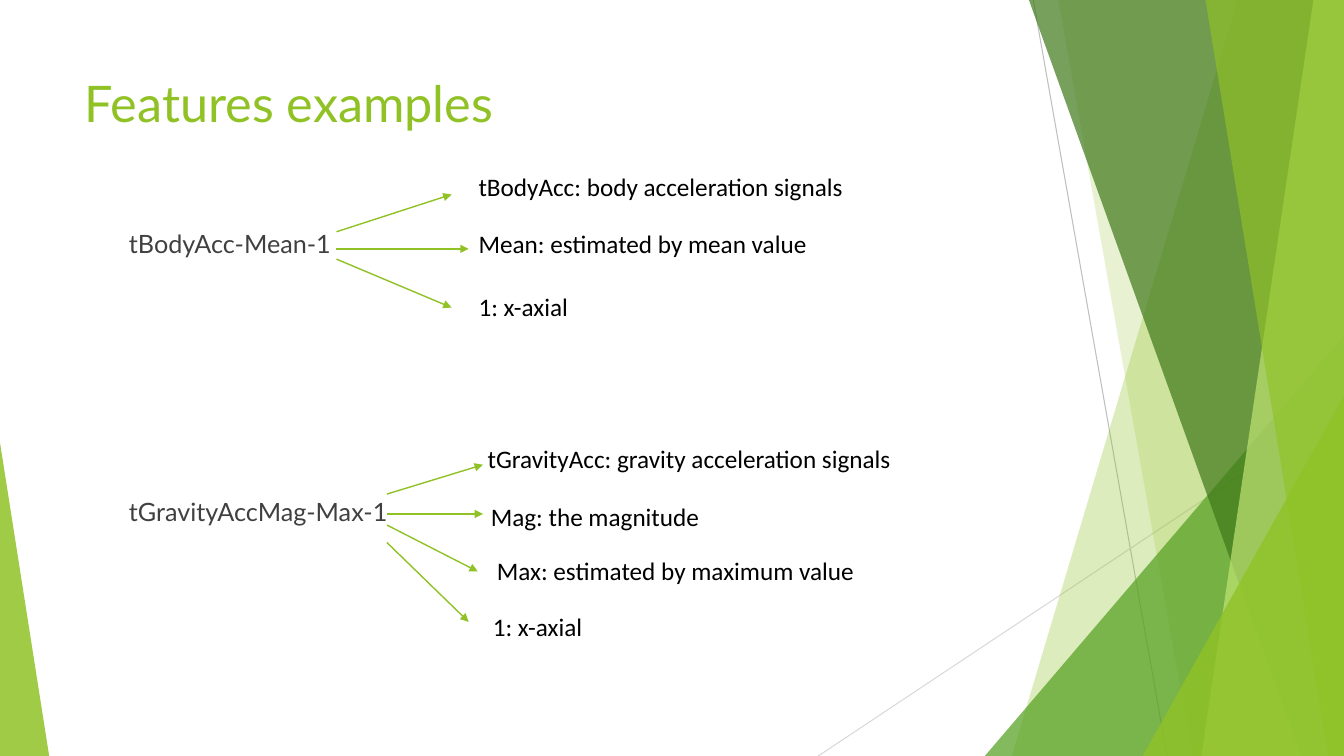
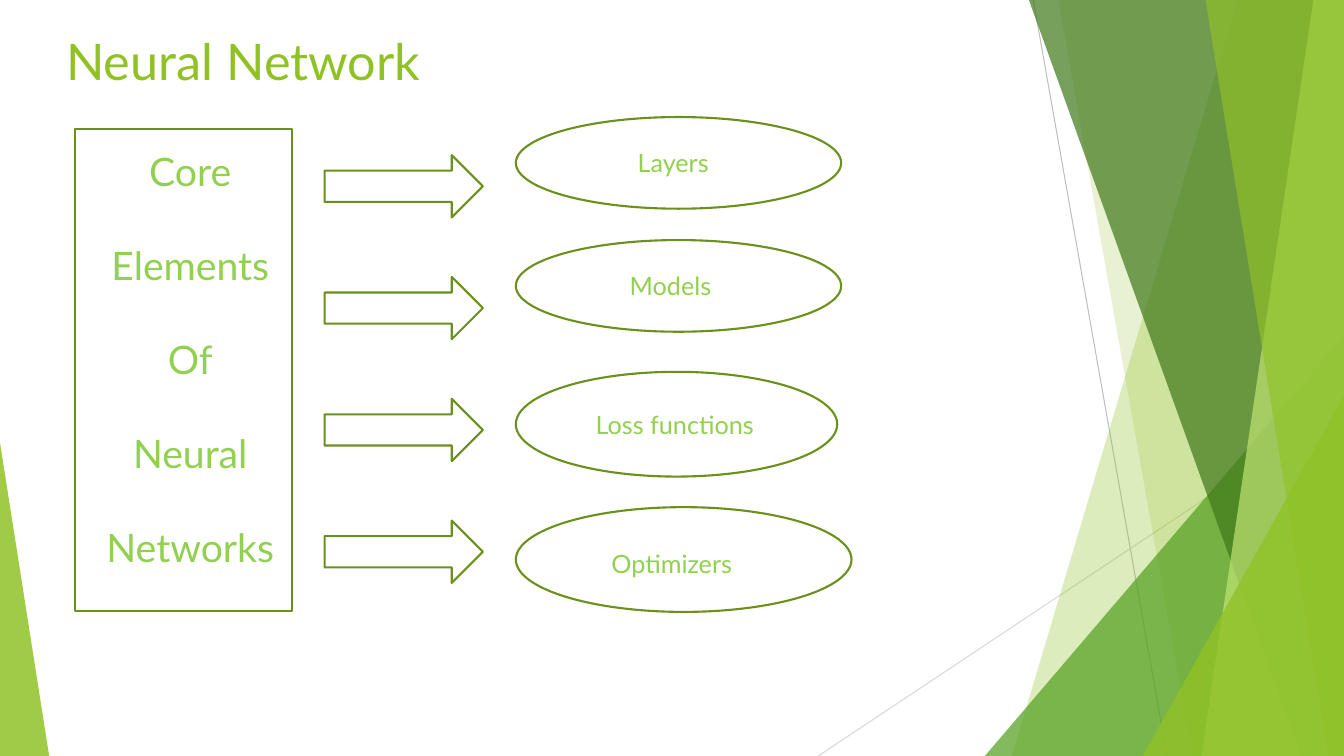
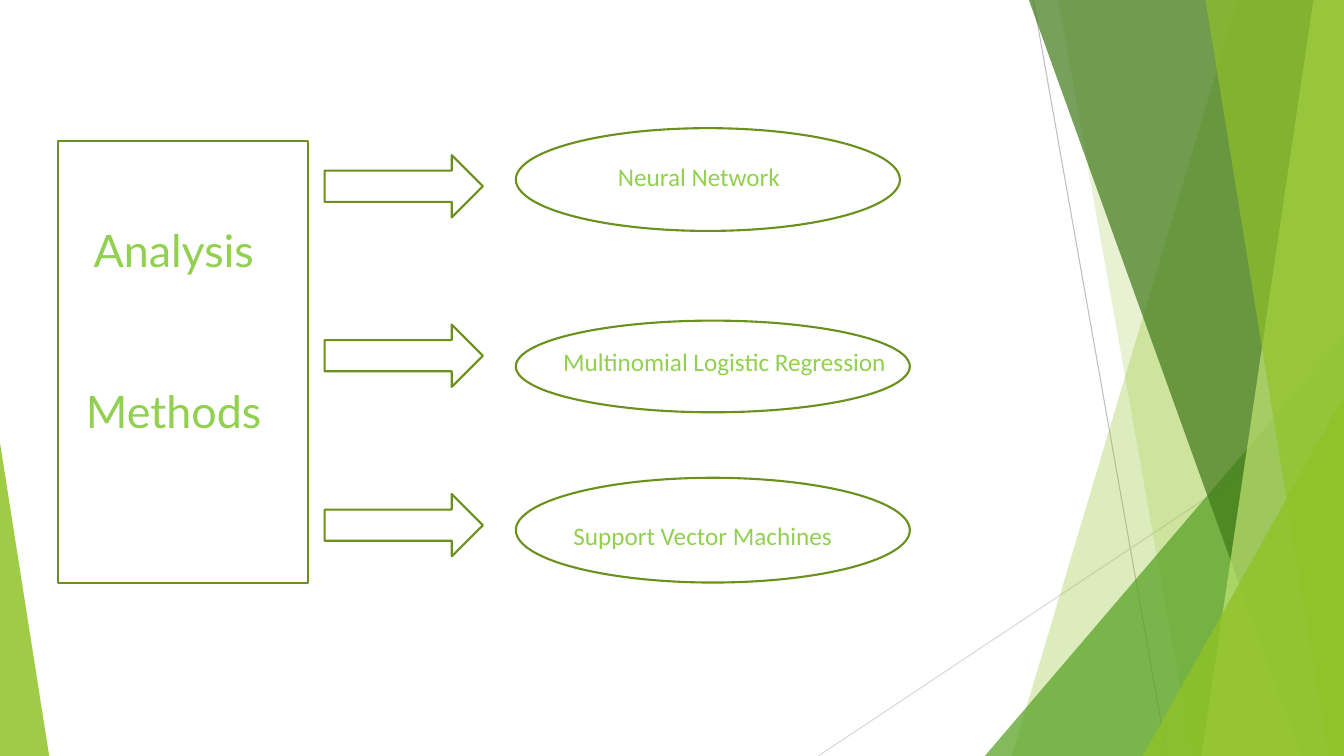
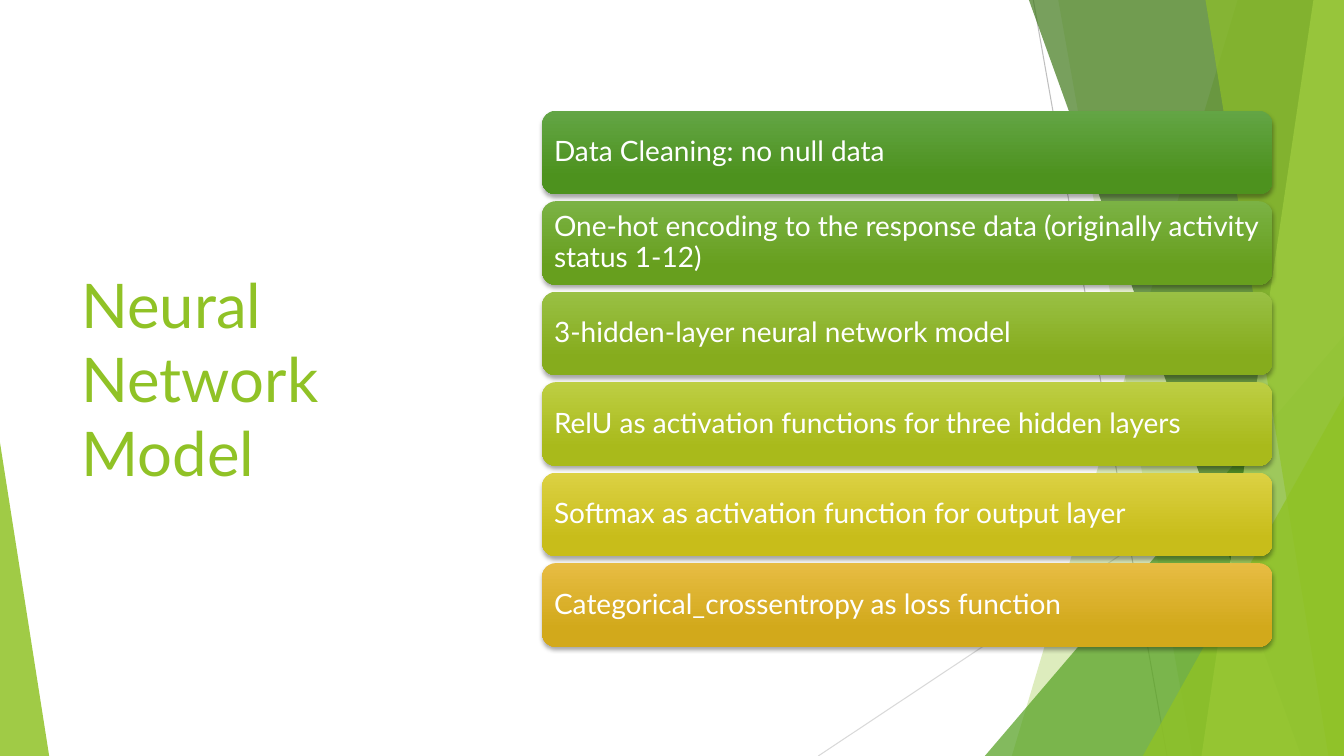
from dataclasses import dataclass
from typing import Optional

from lxml.etree import SubElement
from pptx import Presentation
from pptx.dml.color import RGBColor
from pptx.enum.shapes import MSO_CONNECTOR as Connector, MSO_SHAPE as Preset
from pptx.enum.text import MSO_ANCHOR as Anchor, PP_ALIGN as Align
from pptx.oxml.ns import qn
from pptx.util import Cm, Pt


@dataclass(frozen=True)
class Theme:
    accent: str = "90C226"
    mid_green: str = "54A021"
    dark_green: str = "3F7819"
    pale_green: str = "C0E474"
    outline: str = "6B901C"
    diagram_text: str = "92D050"
    body_text: str = "404040"
    black: str = "000000"
    white: str = "FFFFFF"
    heading_font: str = "Lato"
    body_font: str = "Calibri"
    title_size: float = 36
    large_title_size: float = 44
    card_size: float = 20
    label_size: float = 18
    line_ratio: float = 1.2


THEME = Theme()
WIDTH, HEIGHT = 33.87, 19.05


@dataclass(frozen=True)
class Box:
    left: float
    top: float
    width: float
    height: float

    def lengths(self) -> tuple:
        return Cm(self.left), Cm(self.top), Cm(self.width), Cm(self.height)


@dataclass(frozen=True)
class TextStyle:
    size: float
    color: str
    font: str = THEME.heading_font
    align: Align = Align.LEFT
    anchor: Anchor = Anchor.TOP
    space_before: float = 0


@dataclass(frozen=True)
class Line:
    x1: float
    y1: float
    x2: float
    y2: float
    color: str = THEME.accent
    weight: float = 1
    arrowhead: bool = True


@dataclass(frozen=True)
class Band:
    top_left: float
    bottom_left: float
    color: str
    opacity: int


@dataclass(frozen=True)
class Wedge:
    box: Box
    apex: int
    color: str
    opacity: int


@dataclass(frozen=True)
class Label:
    text: str
    left: float
    top: float
    width: float = 12.55


@dataclass(frozen=True)
class Oval:
    top: float
    width: float
    height: float
    label: Label


@dataclass(frozen=True)
class Diagram:
    panel: Box
    words_box: Box
    words: tuple
    word_size: float
    blank_lines: int
    arrow_pitch: float
    ovals: tuple
    label_font: str


@dataclass(frozen=True)
class Card:
    text: str
    top_color: str
    bottom_color: str


TITLE = TextStyle(THEME.title_size, THEME.accent)
LARGE_TITLE = TextStyle(THEME.large_title_size, THEME.accent, anchor=Anchor.MIDDLE)
FEATURE = TextStyle(THEME.label_size, THEME.body_text)
CALLOUT = TextStyle(THEME.label_size, THEME.black, THEME.body_font)
CARD_TEXT = TextStyle(THEME.card_size, THEME.white, anchor=Anchor.MIDDLE)

GUIDE_LINES = (
    Line(26.04, 0, 29.41, HEIGHT, "BFBFBF", 0.75, False),
    Line(WIDTH, 10.24, 20.62, HEIGHT, "D9D9D9", 0.75, False),
)
FACETS = (
    Band(31.19, 25.5, THEME.accent, 30),
    Band(26.67, 30.05, THEME.accent, 20),
    Wedge(Box(24.82, 8.46, 9.05, 10.59), 1, THEME.mid_green, 72),
    Band(25.93, 32.79, THEME.dark_green, 70),
    Band(33.1, 30.28, THEME.pale_green, 70),
    Band(30.38, 33.48, THEME.accent, 65),
    Wedge(Box(28.8, 9.98, 5.07, 9.07), 1, THEME.accent, 80),
    Wedge(Box(0, 11.15, 1.24, 7.9), 0, THEME.accent, 85),
)

FEATURES = (
    Label("tBodyAcc-Mean-1", 3, 5.64),
    Label("tGravityAccMag-Max-1", 3, 12.37),
)
CALLOUTS = (
    Label("tBodyAcc: body acceleration signals", 11.81, 4.19),
    Label("Mean: estimated by mean value", 11.81, 5.64),
    Label("1: x-axial", 11.81, 7.21),
    Label("tGravityAcc: gravity acceleration signals", 12.04, 11.05),
    Label("Mag: the magnitude", 12.12, 12.52),
    Label("Max: estimated by maximum value", 12.27, 13.87),
    Label("1: x-axial", 12.17, 15.29),
)
FEATURE_ARROWS = (
    Line(8.48, 5.84, 11.38, 4.9),
    Line(8.48, 6.27, 11.81, 6.27),
    Line(8.48, 6.53, 11.38, 7.75),
    Line(9.75, 12.45, 12.17, 11.71),
    Line(9.75, 12.95, 12.17, 12.95),
    Line(9.75, 13.23, 12.04, 14.4),
    Line(9.75, 13.67, 11.81, 15.67),
)

CORE_ELEMENTS = Diagram(
    panel=Box(1.9, 3.25, 5.46, 12.14),
    words_box=Box(1.9, 3.58, 5.79, 11.02),
    words=("Core", "Elements", "Of", "Neural", "Networks"),
    word_size=28,
    blank_lines=1,
    arrow_pitch=3.07,
    ovals=(
        Oval(2.95, 8.2, 2.31, Label("Layers", 15.82, 3.6, 5.05)),
        Oval(6.05, 8.2, 2.31, Label("Models", 15.62, 6.68, 5.05)),
        Oval(9.37, 8.1, 2.64, Label("Loss functions", 14.76, 10.19, 5.05)),
        Oval(12.78, 8.46, 2.64, Label("Optimizers", 15.16, 13.69, 5.05)),
    ),
    label_font=THEME.heading_font,
)
ANALYSIS_METHODS = Diagram(
    panel=Box(1.47, 3.56, 6.3, 11.13),
    words_box=Box(1.19, 5.49, 6.38, 5.74),
    words=("Analysis", "Methods"),
    word_size=32,
    blank_lines=2,
    arrow_pitch=4.27,
    ovals=(
        Oval(3.23, 9.68, 2.59, Label("Neural Network", 15.32, 3.94, 8.74)),
        Oval(8.08, 9.93, 2.31,
             Label("Multinomial Logistic Regression", 13.94, 8.61, 8.74)),
        Oval(12.04, 9.93, 2.64,
             Label("Support Vector Machines", 14.2, 12.98, 8.74)),
    ),
    label_font=THEME.body_font,
)

CARDS = (
    Card("Data Cleaning: no null data", "63A545", "4D921E"),
    Card("One-hot encoding to the response data (originally activity status 1-12)",
         "7BB244", "679F1E"),
    Card("3-hidden-layer neural network model", "99C044", "86AC1D"),
    Card("RelU as activation functions for three hidden layers", "BDCE43", "A9BA1B"),
    Card("Softmax as activation function for output layer", "DCD143", "C8BD1A"),
    Card("Categorical_crossentropy as loss function", "E7BC43", "D2A91B"),
)


def rgb(color: str) -> RGBColor:
    return RGBColor.from_string(color)


def write_text(shape, lines: tuple, style: TextStyle,
               line_spacing: Optional[float] = None) -> None:
    frame = shape.text_frame
    frame.word_wrap = True
    frame.vertical_anchor = style.anchor
    for index, text in enumerate(lines):
        paragraph = frame.add_paragraph() if index else frame.paragraphs[0]
        paragraph.alignment = style.align
        if index:
            paragraph.space_before = Pt(style.space_before)
        if line_spacing:
            paragraph.line_spacing = line_spacing
        run = paragraph.add_run()
        run.text = text
        run.font.name = style.font
        run.font.size = Pt(style.size)
        run.font.color.rgb = rgb(style.color)


def add_text(slide, box: Box, lines: tuple, style: TextStyle) -> None:
    write_text(slide.shapes.add_textbox(*box.lengths()), lines, style)


def add_label(slide, label: Label, style: TextStyle) -> None:
    box = Box(label.left, label.top, label.width, 1.02)
    add_text(slide, box, (label.text,), style)


def add_line(slide, line: Line) -> None:
    connector = slide.shapes.add_connector(
        Connector.STRAIGHT, Cm(line.x1), Cm(line.y1), Cm(line.x2), Cm(line.y2))
    connector.line.color.rgb = rgb(line.color)
    connector.line.width = Pt(line.weight)
    properties = connector.element.spPr
    if line.arrowhead:
        SubElement(properties.find(qn("a:ln")), qn("a:tailEnd"), type="triangle")
    SubElement(properties, qn("a:effectLst"))


def add_outline(slide, preset: Preset, box: Box) -> None:
    shape = slide.shapes.add_shape(preset, *box.lengths())
    shape.shadow.inherit = False
    shape.fill.background()
    shape.line.color.rgb = rgb(THEME.outline)
    shape.line.width = Pt(1.5)


def add_band(slide, band: Band):
    builder = slide.shapes.build_freeform(Cm(band.top_left), 0)
    builder.add_line_segments((
        (Cm(WIDTH), 0),
        (Cm(WIDTH), Cm(HEIGHT)),
        (Cm(band.bottom_left), Cm(HEIGHT)),
    ))
    return builder.convert_to_shape()


def add_wedge(slide, wedge: Wedge):
    shape = slide.shapes.add_shape(Preset.ISOSCELES_TRIANGLE, *wedge.box.lengths())
    shape.adjustments[0] = wedge.apex
    return shape


def add_facet(slide, facet) -> None:
    draw = add_band if isinstance(facet, Band) else add_wedge
    shape = draw(slide, facet)
    shape.shadow.inherit = False
    shape.line.fill.background()
    shape.fill.solid()
    shape.fill.fore_color.rgb = rgb(facet.color)
    color = shape.element.spPr.find(qn("a:solidFill")).find(qn("a:srgbClr"))
    SubElement(color, qn("a:alpha"), val=str(facet.opacity * 1000))


def move_to_master(presentation, slide) -> None:
    master_tree = presentation.slide_master.shapes.element
    for number, shape in enumerate(list(slide.shapes), start=100):
        shape.element.xpath("./*/p:cNvPr")[0].set("id", str(number))
        master_tree.append(shape.element)


def add_backdrop(presentation, slide) -> None:
    for line in GUIDE_LINES:
        add_line(slide, line)
    for facet in FACETS:
        add_facet(slide, facet)
    move_to_master(presentation, slide)


def add_diagram(slide, diagram: Diagram) -> None:
    gap = diagram.blank_lines * diagram.word_size * THEME.line_ratio
    words_style = TextStyle(diagram.word_size, THEME.diagram_text,
                            align=Align.CENTER, space_before=gap)
    label_style = TextStyle(THEME.label_size, THEME.diagram_text, diagram.label_font)
    add_outline(slide, Preset.RECTANGLE, diagram.panel)
    add_text(slide, diagram.words_box, diagram.words, words_style)
    for index, oval in enumerate(diagram.ovals):
        arrow_top = 3.91 + index * diagram.arrow_pitch
        add_outline(slide, Preset.RIGHT_ARROW, Box(8.18, arrow_top, 3.99, 1.57))
        add_outline(slide, Preset.OVAL, Box(13, oval.top, oval.width, oval.height))
        add_label(slide, oval.label, label_style)


def add_card_shadow(shape) -> None:
    effects = shape.element.spPr.find(qn("a:effectLst"))
    shadow = SubElement(effects, qn("a:outerShdw"), blurRad=str(Pt(3)),
                        dist=str(Pt(2)), dir="5400000", rotWithShape="0")
    color = SubElement(shadow, qn("a:srgbClr"), val=THEME.black)
    SubElement(color, qn("a:alpha"), val="35000")


def add_card(slide, card: Card, box: Box) -> None:
    shape = slide.shapes.add_shape(Preset.ROUNDED_RECTANGLE, *box.lengths())
    shape.line.fill.background()
    shape.fill.gradient()
    shape.fill.gradient_angle = 270
    stops = ((0, card.top_color), (0.78, card.bottom_color))
    for stop, (position, color) in zip(shape.fill.gradient_stops, stops):
        stop.position = position
        stop.color.rgb = rgb(color)
    shape.shadow.inherit = False
    add_card_shadow(shape)
    frame = shape.text_frame
    frame.margin_left = frame.margin_right = Cm(0.2)
    frame.margin_top = frame.margin_bottom = Cm(0.2)
    write_text(shape, (card.text,), CARD_TEXT, line_spacing=0.9)


def build_features(slide) -> None:
    add_text(slide, Box(1.88, 1.7, 23.88, 3.66), ("Features examples",), TITLE)
    for feature in FEATURES:
        add_label(slide, feature, FEATURE)
    for arrow in FEATURE_ARROWS:
        add_line(slide, arrow)
    for callout in CALLOUTS:
        add_label(slide, callout, CALLOUT)


def build_core_elements(slide) -> None:
    add_diagram(slide, CORE_ELEMENTS)
    add_text(slide, Box(1.42, 0.64, 23.88, 1.98), ("Neural Network",), TITLE)


def build_analysis_methods(slide) -> None:
    add_diagram(slide, ANALYSIS_METHODS)


def build_model(slide) -> None:
    add_text(slide, Box(1.8, 3.84, 9.86, 11.38), ("Neural Network Model",), LARGE_TITLE)
    for index, card in enumerate(CARDS):
        add_card(slide, card, Box(13.66, 2.79 + index * 2.28, 18.41, 2.11))


def main() -> None:
    presentation = Presentation()
    presentation.slide_width = Cm(WIDTH)
    presentation.slide_height = Cm(HEIGHT)
    blank = presentation.slide_layouts[6]
    builders = (build_features, build_core_elements, build_analysis_methods, build_model)
    slides = [presentation.slides.add_slide(blank) for _ in builders]
    add_backdrop(presentation, slides[0])
    for build, slide in zip(builders, slides):
        build(slide)
    presentation.save("out.pptx")


main()
